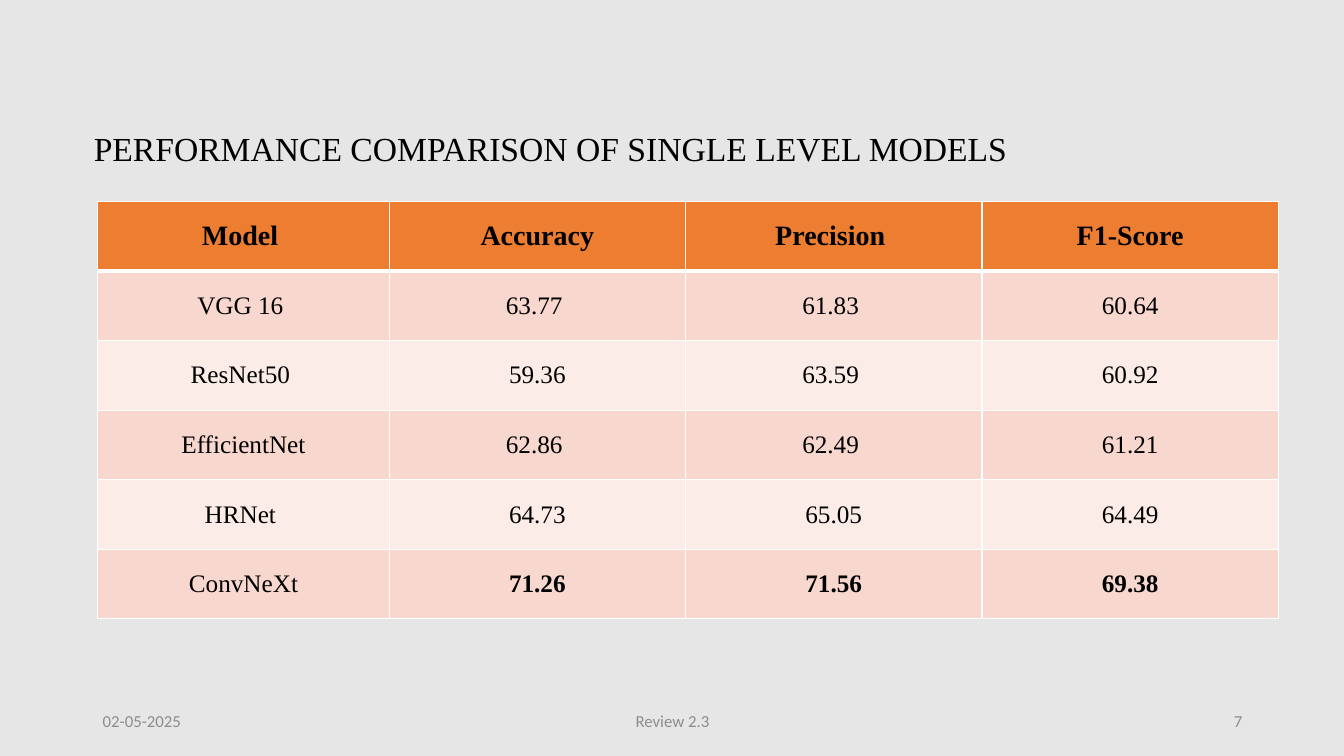
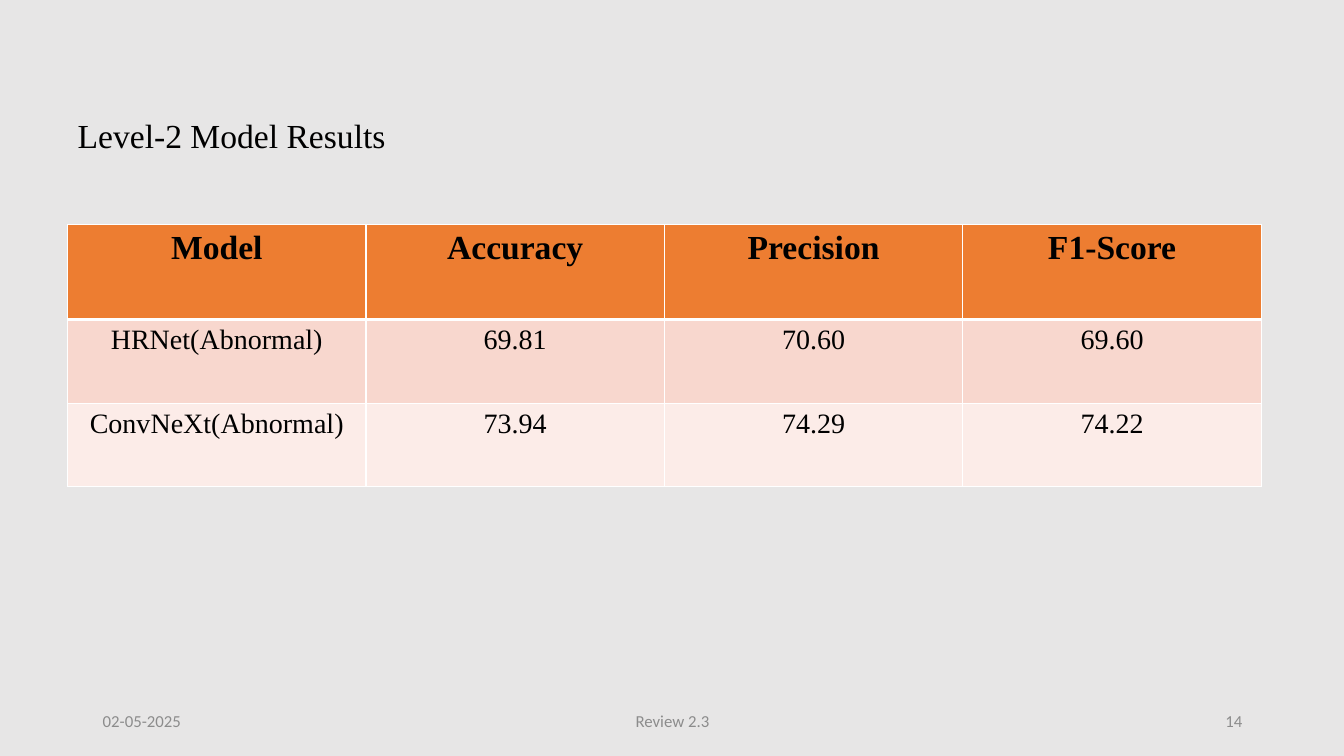
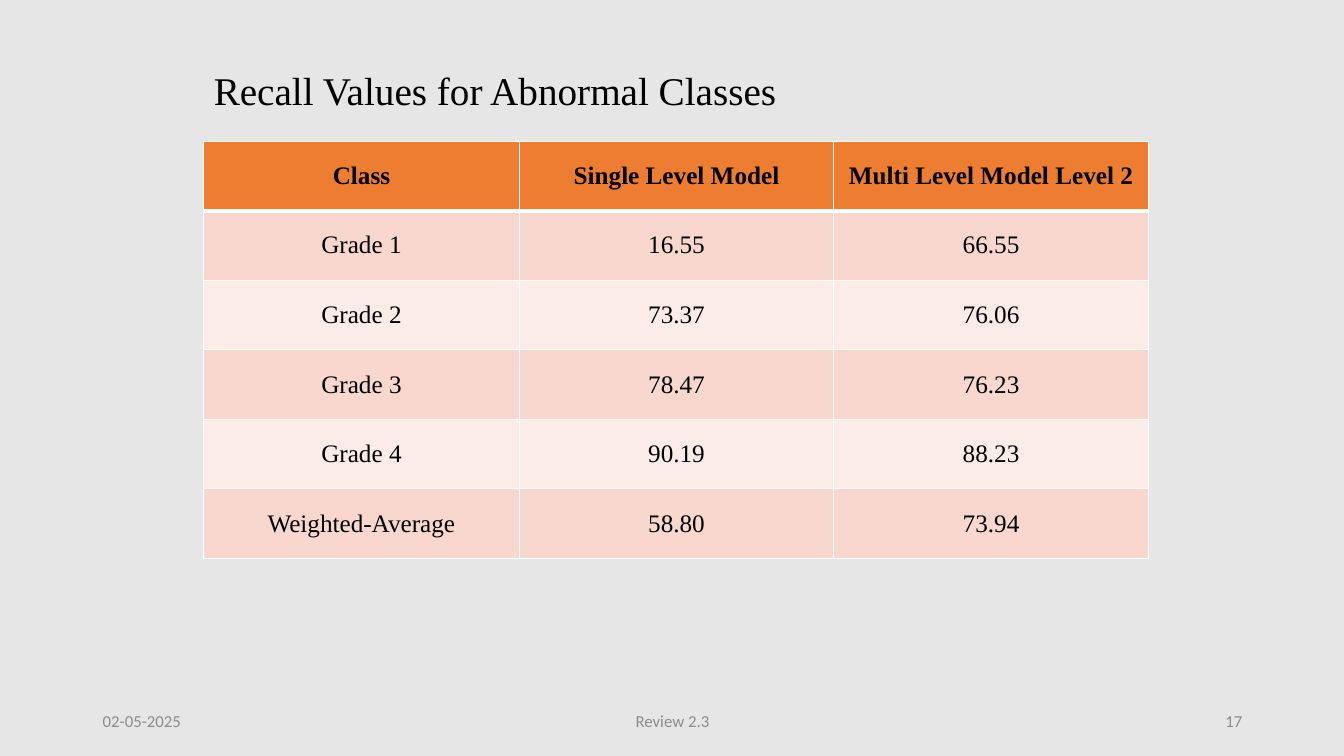
import dataclasses

import pptx
import pptx.dml.color
import pptx.enum.text
import pptx.oxml
import pptx.oxml.ns
import pptx.util

Inches, Pt = pptx.util.Inches, pptx.util.Pt
RGB = pptx.dml.color.RGBColor.from_string
ALIGN = pptx.enum.text.PP_ALIGN
ANCHOR = pptx.enum.text.MSO_ANCHOR
TITLE_ONLY = 5


@dataclasses.dataclass(frozen=True)
class Theme:
    background: str = "E7E6E6"
    text: str = "000000"
    muted: str = "8C8C8C"
    header: str = "ED7D31"
    bands: tuple = ("F8D7CE", "FCECE8")
    border: str = "FFFFFF"
    font: str = "Times New Roman"
    footer_font: str = "Calibri"
    footer_size: int = 12
    small: int = 18
    medium: int = 20
    large: int = 24
    huge: int = 28
    thin: int = 1
    thick: int = 3


class Deck:
    """The presentation, its theme and the slide being built."""

    def __init__(self, theme):
        self.theme = theme
        self.prs = pptx.Presentation()
        self.prs.slide_width = Inches(13.33)
        self.prs.slide_height = Inches(7.5)
        fill = self.prs.slide_master.background.fill
        fill.solid()
        fill.fore_color.rgb = RGB(theme.background)
        self.s = None

    def set_text(self, tf, text, size, align=ALIGN.LEFT, bold=False,
                 font=None, color=None):
        """Fill a text frame with one uniformly formatted paragraph."""
        p = tf.paragraphs[0]
        p.text = text
        p.alignment = align
        for r in p.runs:
            r.font.name = font or self.theme.font
            r.font.size = Pt(size)
            r.font.bold = bold
            r.font.color.rgb = RGB(color or self.theme.text)
        return p

    def new_slide(self, number):
        self.s = self.prs.slides.add_slide(self.prs.slide_layouts[TITLE_ONLY])
        self.footer("02-05-2025", 0.92, 3, ALIGN.LEFT)
        self.footer("Review 2.3", 4.42, 4.5, ALIGN.CENTER)
        self.footer(str(number), 9.42, 3, ALIGN.RIGHT)

    def footer(self, text, left, width, align):
        sp = self.s.shapes.add_textbox(Inches(left), Inches(6.95),
                                       Inches(width), Inches(0.4))
        tf = sp.text_frame
        tf.word_wrap = True
        tf.vertical_anchor = ANCHOR.MIDDLE
        self.set_text(tf, text, self.theme.footer_size, align,
                      font=self.theme.footer_font, color=self.theme.muted)

    def title(self, text, box, size, anchor=ANCHOR.TOP, spacing=1.0):
        sp = self.s.shapes.title
        sp.left, sp.top, sp.width, sp.height = map(Inches, box)
        tf = sp.text_frame
        tf.word_wrap = True
        tf.auto_size = pptx.enum.text.MSO_AUTO_SIZE.NONE
        tf.vertical_anchor = anchor
        self.set_text(tf, text, size).line_spacing = spacing

    def borders(self, cell, row):
        """Draw thin borders, with a thick rule under the header row."""
        th = self.theme
        widths = {"L": th.thin, "R": th.thin,
                  "T": th.thick if row == 1 else th.thin,
                  "B": th.thick if row == 0 else th.thin}
        tc_pr = cell._tc.get_or_add_tcPr()
        for side, width in widths.items():
            tc_pr.append(pptx.oxml.parse_xml(
                f'<a:ln{side} {pptx.oxml.ns.nsdecls("a")} w="{Pt(width)}">'
                f'<a:solidFill><a:srgbClr val="{th.border}"/></a:solidFill>'
                f'</a:ln{side}>'))

    def table(self, rows, left, top, col_widths, row_heights, sizes,
              anchor=ANCHOR.MIDDLE, bold_last=False):
        """Add a table; sizes are those of header and body text."""
        th = self.theme
        frame = self.s.shapes.add_table(
            len(rows), len(col_widths), Inches(left), Inches(top),
            Inches(sum(col_widths)), Inches(sum(row_heights)))
        table = frame.table
        for column, width in zip(table.columns, col_widths):
            column.width = Inches(width)
        for i, (values, height) in enumerate(zip(rows, row_heights)):
            table.rows[i].height = Inches(height)
            is_header = i == 0
            is_best = bold_last and i == len(rows) - 1
            for j, value in enumerate(values):
                cell = table.cell(i, j)
                self.borders(cell, i)
                cell.fill.solid()
                cell.fill.fore_color.rgb = RGB(
                    th.header if is_header else th.bands[(i - 1) % 2])
                cell.vertical_anchor = anchor
                self.set_text(cell.text_frame, value, sizes[not is_header],
                              ALIGN.CENTER, is_header or (is_best and j > 0))


def single_level_slide(deck):
    th = deck.theme
    deck.new_slide(7)
    deck.table([
        ("Model ", "Accuracy", "Precision ", "F1-Score"),
        ("VGG 16 ", "63.77 ", "61.83 ", "60.64"),
        ("ResNet50 ", "59.36", "63.59 ", "60.92"),
        ("EfficientNet", "62.86 ", "62.49 ", "61.21"),
        ("HRNet ", "64.73", "65.05", "64.49"),
        ("ConvNeXt", "71.26", "71.56", "69.38"),
    ], 0.97, 2, [2.89] + [2.94] * 3, [0.69] * 6, (th.medium, th.small),
        bold_last=True)
    deck.title("PERFORMANCE COMPARISON OF SINGLE LEVEL MODELS",
               (0.83, 1.22, 10.41, 0.5), th.large)


def level_two_slide(deck):
    th = deck.theme
    deck.new_slide(14)
    deck.title("Level-2 Model Results", (0.67, 0.83, 3.49, 1.07), th.large,
               ANCHOR.MIDDLE, 0.9)
    deck.table([
        ("Model", "Accuracy", "Precision", "F1-Score"),
        ("HRNet(Abnormal)", "69.81", "70.60", "69.60"),
        ("ConvNeXt(Abnormal)", "73.94", "74.29", "74.22"),
    ], 0.67, 2.23, [2.96] * 4, [0.94, 0.83, 0.83], (th.large, th.medium),
        ANCHOR.TOP)


def recall_slide(deck):
    th = deck.theme
    deck.new_slide(17)
    deck.table([
        ("Class", "Single Level Model", "Multi Level Model Level 2"),
        ("Grade 1", "16.55", "66.55"),
        ("Grade 2", "73.37", "76.06"),
        ("Grade 3", "78.47", "76.23"),
        ("Grade 4", "90.19", "88.23"),
        ("Weighted-Average", "58.80", "73.94"),
    ], 2.02, 1.4, [3.13, 3.12, 3.12], [0.69] * 6, (th.small, th.small))
    deck.title("Recall Values for Abnormal Classes",
               (2.02, 0.61, 9.07, 0.57), th.huge)


def main():
    deck = Deck(Theme())
    single_level_slide(deck)
    level_two_slide(deck)
    recall_slide(deck)
    deck.prs.save("out.pptx")


if __name__ == "__main__":
    main()
